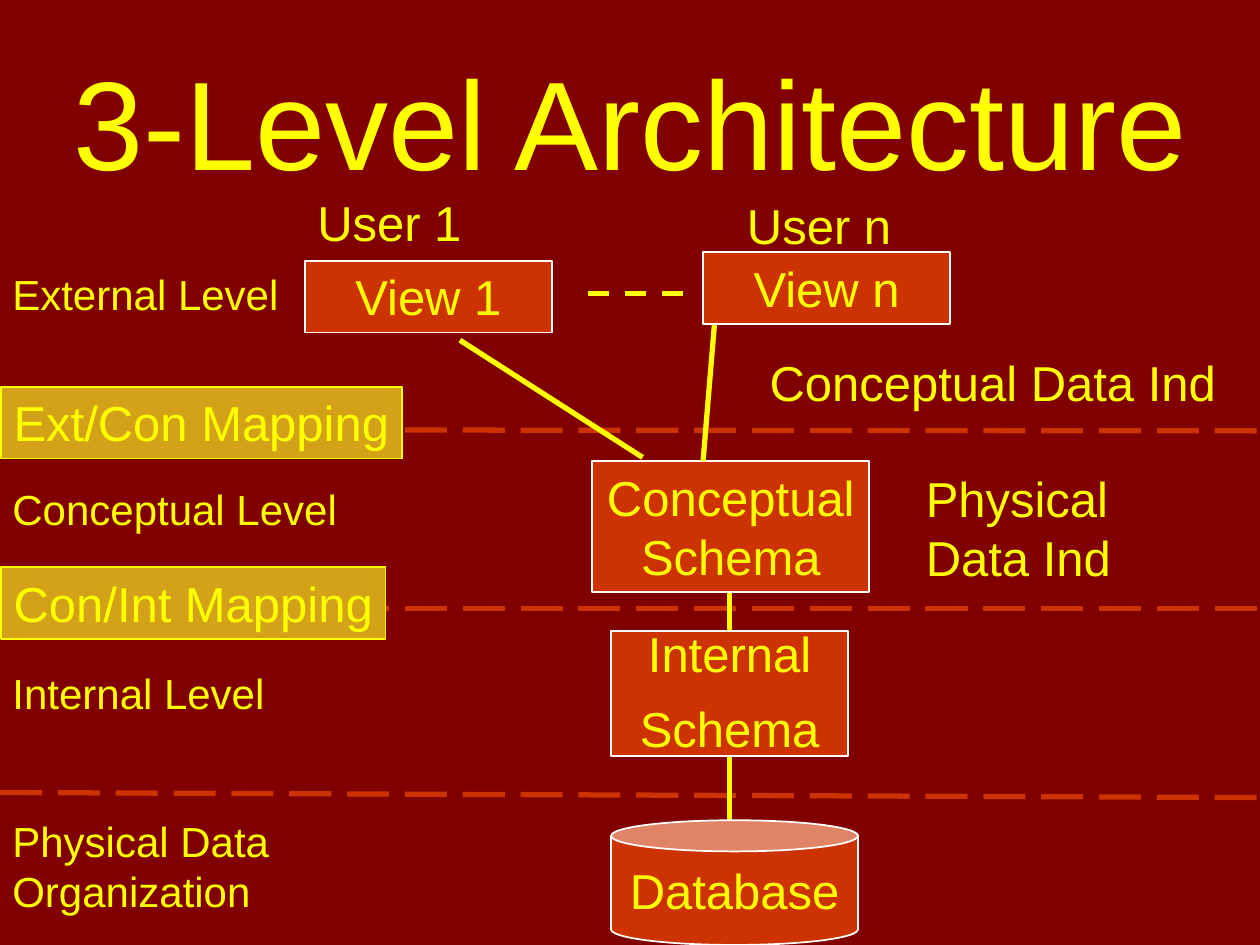
from dataclasses import dataclass

from pptx import Presentation
from pptx import util as u
from pptx.dml.color import RGBColor
from pptx.enum import dml, shapes, text
from pptx.oxml.ns import qn
from lxml import etree


@dataclass(frozen=True)
class Theme:
    font: str = "Arial"
    title_size: int = 72
    level_size: int = 24
    body_size: int = 28
    line_width: int = 3
    border_width: int = 1
    background: str = "800000"
    ink: str = "FFFF00"
    block: str = "CC3300"
    block_border: str = "FFFFFF"
    mapping: str = "D3A219"


@dataclass(frozen=True)
class Box:
    """Area on a grid of 10 columns by 7.5 rows, one inch a cell."""
    col: float
    row: float
    cols: float
    rows: float

    def inner(self, col, row, cols, rows):
        return Box(self.col + col, self.row + row, cols, rows)

    def point(self, col, row):
        return u.Inches(self.col + col), u.Inches(self.row + row)

    def lengths(self):
        return [u.Inches(n) for n in (self.col, self.row, self.cols, self.rows)]


THEME = Theme()
ANCHOR, ALIGN, FIT = text.MSO_ANCHOR, text.PP_ALIGN, text.MSO_AUTO_SIZE
PRESET, DASH = shapes.MSO_SHAPE, dml.MSO_LINE
ROW_HEIGHT = 0.57


def color(value):
    return RGBColor.from_string(value)


def write(holder, words, size=THEME.body_size, align=ALIGN.LEFT, frame=None,
          spacing=None):
    """Fill a holder; frame and spacing override text frame and paragraph formats."""
    body = holder.text_frame
    body.text = words
    frame_format = {"word_wrap": True, "auto_size": FIT.SHAPE_TO_FIT_TEXT,
                    "vertical_anchor": ANCHOR.TOP, **(frame or {})}
    for name, value in frame_format.items():
        setattr(body, name, value)
    for index, paragraph in enumerate(body.paragraphs):
        paragraph.alignment = align
        for name, value in (spacing or {}).items():
            if index or name != "space_before":
                setattr(paragraph, name, value)
        for name, value in {"name": THEME.font, "size": u.Pt(size)}.items():
            setattr(paragraph.font, name, value)
        paragraph.font.color.rgb = color(THEME.ink)


def label(slide, box, words, **formats):
    write(slide.shapes.add_textbox(*box.lengths()), words, **formats)


def block(slide, box, words, preset=PRESET.RECTANGLE, fill=THEME.block,
          border=THEME.block_border, align=ALIGN.CENTER, **formats):
    shape = slide.shapes.add_shape(preset, *box.lengths())
    shape.shadow.inherit = False
    shape.fill.solid()
    shape.fill.fore_color.rgb = color(fill)
    shape.line.color.rgb = color(border)
    shape.line.width = u.Pt(THEME.border_width)
    write(shape, words, align=align, **formats)


def line(slide, start, end, stroke=THEME.ink, dash=None):
    rule = slide.shapes.add_connector(shapes.MSO_CONNECTOR.STRAIGHT, *start, *end)
    rule.line.color.rgb = color(stroke)
    rule.line.width = u.Pt(THEME.line_width)
    if dash:
        rule.line.dash_style = dash
    etree.SubElement(rule.element.spPr, qn("a:effectLst"))


def title(slide, box):
    label(slide, box, "3-Level Architecture", size=THEME.title_size,
          align=ALIGN.CENTER,
          frame={"vertical_anchor": ANCHOR.MIDDLE, "auto_size": FIT.NONE})


def levels(slide, box):
    """Name the levels, divide them, and set the mappings on the dividers."""
    for row, cols, rows, words in (
            (0.08, 2.5, 0.5, "External Level"),
            (1.79, 3, 0.5, "Conceptual Level"),
            (3.25, 2.25, 0.5, "Internal Level"),
            (4.42, 3, 0.9, "Physical Data Organization")):
        label(slide, box.inner(0, row, cols, rows), words, size=THEME.level_size)
    for left_row, right_row in ((1.41, 1.42), (2.83, 2.83), (4.29, 4.33)):
        line(slide, box.point(0, left_row), box.point(box.cols, right_row),
             stroke=THEME.block, dash=DASH.LONG_DASH)
    for row, cols, words in ((1.07, 3.18, "Ext/Con Mapping"),
                             (2.5, 3.05, "Con/Int Mapping")):
        block(slide, box.inner(0.01, row, cols, ROW_HEIGHT), words,
              fill=THEME.mapping, border=THEME.ink, align=ALIGN.LEFT,
              frame={"word_wrap": False})


def views(slide, box):
    for user_col, user_row, view_col, view_row, number in (
            (0, 0, 0, 0.59, "1"), (3.41, 0.02, 3.16, 0.52, "n")):
        label(slide, box.inner(user_col, user_row, 1.42, ROW_HEIGHT),
              f"User {number}")
        block(slide, box.inner(view_col, view_row, 1.96, ROW_HEIGHT),
              f"View {number}")
    line(slide, box.point(2.25, 0.85), box.point(3, 0.85), dash=DASH.DASH)


def schemas(slide, box):
    """Stack both schemas over the database, joined down the centre."""
    for top, bottom in ((0.93, 1.35), (2.35, 2.99)):
        line(slide, box.point(1.09, top), box.point(1.09, bottom))
    block(slide, box.inner(0, 0, box.cols, 1.04), "Conceptual Schema")
    block(slide, box.inner(0.15, 1.35, 1.88, 0.99), "Internal\nSchema",
          frame={"auto_size": FIT.NONE},
          spacing={"line_spacing": 0.75, "space_before": u.Pt(17.5)})
    block(slide, box.inner(0.15, 2.85, 1.96, 0.99), "Database", preset=PRESET.CAN,
          frame={"word_wrap": False, "auto_size": FIT.NONE,
                 "vertical_anchor": ANCHOR.MIDDLE})


def view_links(slide, box):
    """Join each view to the conceptual schema."""
    for view_end, schema_end in (((2.02, 0), (1.93, 1.08)),
                                 ((0, 0.12), (1.45, 1.05))):
        line(slide, box.point(*view_end), box.point(*schema_end))


def independence(slide, box):
    label(slide, box.inner(0, 0, box.cols, ROW_HEIGHT), "Conceptual Data Ind")
    label(slide, box.inner(1.24, 0.92, 1.67, 1.04), "Physical\nData Ind",
          frame={"word_wrap": False})


def main():
    deck = Presentation()
    deck.slide_width, deck.slide_height = u.Inches(10), u.Inches(7.5)
    slide = deck.slides.add_slide(deck.slide_layouts[6])
    slide.background.fill.solid()
    slide.background.fill.fore_color.rgb = color(THEME.background)
    for region, box in ((title, Box(0, 0.33, 10, 1.25)),
                        (levels, Box(0, 2, 10, 5.5)),
                        (views, Box(2.42, 1.48, 5.12, 1.16)),
                        (schemas, Box(4.7, 3.66, 2.2, 3.84)),
                        (view_links, Box(3.65, 2.58, 2.02, 1.08)),
                        (independence, Box(6.01, 2.75, 3.99, 1.96))):
        region(slide, box)
    deck.save("out.pptx")


if __name__ == "__main__":
    main()
